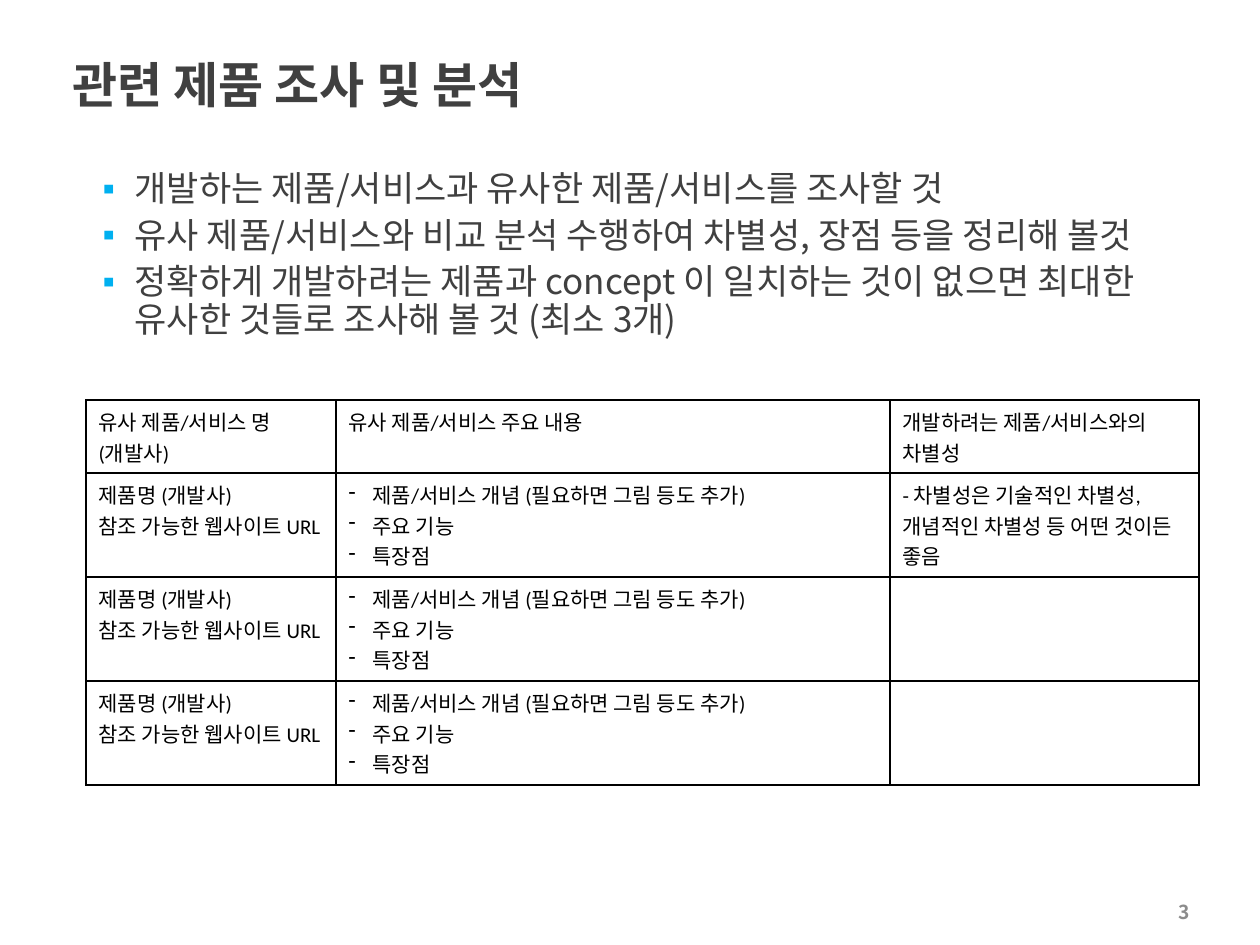
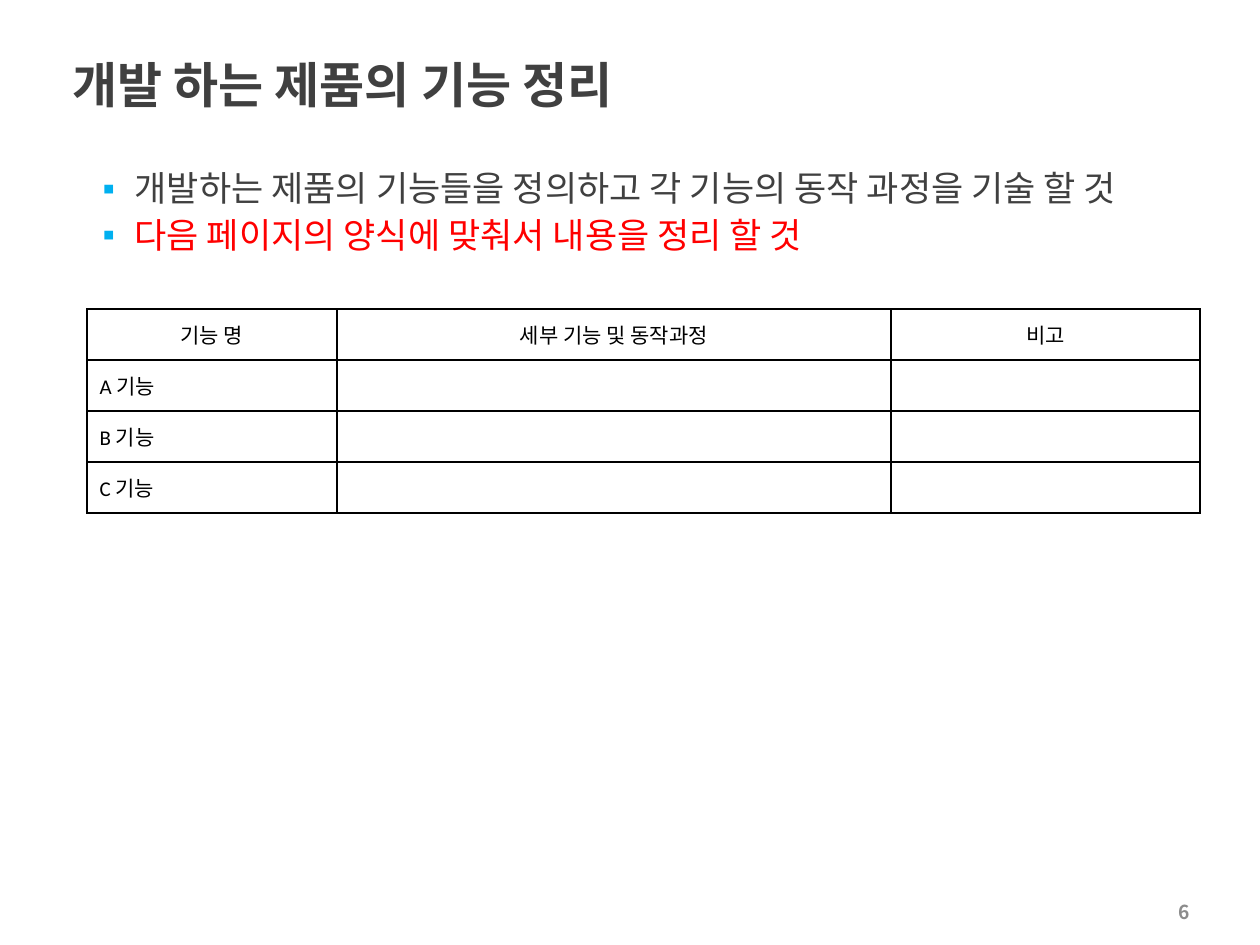
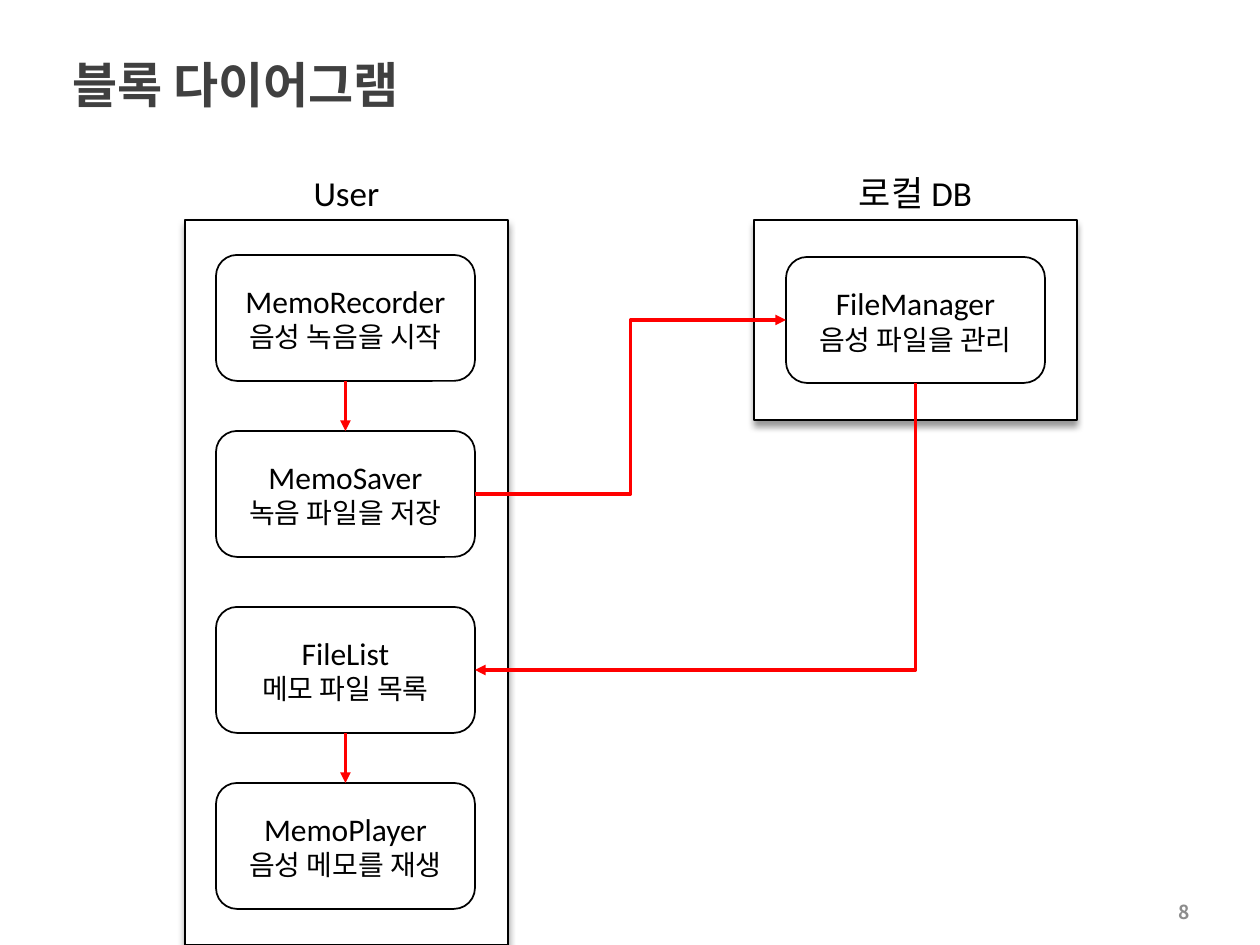
from dataclasses import dataclass

from lxml.etree import SubElement
from pptx import Presentation
from pptx.dml.color import RGBColor
from pptx.enum.shapes import MSO_CONNECTOR, MSO_SHAPE
from pptx.enum.text import MSO_ANCHOR, MSO_AUTO_SIZE, PP_ALIGN
from pptx.oxml import parse_xml
from pptx.oxml.ns import nsdecls, qn
from pptx.util import Pt

SCALE = 914400 / 126  # EMU per pixel
TOP, LEFT, BOTTOM, RIGHT = range(4)  # connection sites of a box


@dataclass(frozen=True)
class Theme:
    heading_font: str = "Noto Sans CJK KR"
    diagram_font: str = "Calibri"
    heading: str = "404040"
    bullet: str = "00B0F0"
    accent: str = "FF0000"
    page: str = "8C8C8C"
    ink: str = "000000"
    paper: str = "FFFFFF"
    title_size: int = 28
    body_size: int = 20
    page_size: int = 11
    cell_size: int = 12
    box_size: int = 18
    detail_size: int = 16
    border: int = 1
    arrow: int = 2


THEME = Theme()
COLUMNS = (250, 554, 309)


def px(*lengths):
    return [round(length * SCALE) for length in lengths]


def rgb(colour):
    return RGBColor.from_string(colour)


# Text

def style(paragraph, size, colour, face, bold=False, align=PP_ALIGN.LEFT):
    font = paragraph.font
    font.size, font.bold, font.name = Pt(size), bold, face
    font.color.rgb = rgb(colour)
    paragraph.alignment = align
    defaults = paragraph._p.get_or_add_pPr().get_or_add_defRPr()
    defaults.find(qn("a:latin")).addnext(
        parse_xml(f'<a:ea {nsdecls("a")} typeface="{THEME.heading_font}"/>'))


def write(frame, lines):
    """Put each line in a paragraph of its own and return the paragraphs."""
    paragraphs = []
    for index, line in enumerate(lines):
        paragraph = frame.add_paragraph() if index else frame.paragraphs[0]
        if line:
            paragraph.text = line
        paragraphs.append(paragraph)
    return paragraphs


def add_bullet(paragraph, mark, margin, hanging, colour):
    """Call before style(), so that the font defaults come last."""
    props = paragraph._p.get_or_add_pPr()
    props.set("marL", str(px(margin)[0]))
    props.set("indent", str(px(-hanging)[0]))
    SubElement(SubElement(props, qn("a:buClr")), qn("a:srgbClr"), val=colour)
    SubElement(props, qn("a:buChar"), char=mark)


def add_label(slide, text, at, size, colour, face, **options):
    label = slide.shapes.add_textbox(*px(*at)).text_frame
    label.word_wrap = True
    label.vertical_anchor = MSO_ANCHOR.MIDDLE
    style(write(label, [text])[0], size, colour, face, **options)


def place(placeholder, at):
    placeholder.left, placeholder.top, placeholder.width, placeholder.height = px(*at)
    placeholder.text_frame.auto_size = MSO_AUTO_SIZE.NONE
    return placeholder.text_frame


def add_page(deck, layout, heading, number):
    slide = deck.slides.add_slide(deck.slide_layouts.get_by_name(layout))
    title = place(slide.shapes.title, (60, 19, 1142, 101))
    title.vertical_anchor = MSO_ANCHOR.BOTTOM
    paragraph = write(title, [heading])[0]
    paragraph.line_spacing = 0.9
    style(paragraph, THEME.title_size, THEME.heading, THEME.heading_font, bold=True)
    add_label(slide, str(number), (918, 897, 284, 29), THEME.page_size, THEME.page,
              THEME.heading_font, bold=True, align=PP_ALIGN.RIGHT)
    return slide


def fill_list(slide, points, highlighted=()):
    body = place(slide.placeholders[1], (60, 165, 1142, 719))
    for point in write(body, points):
        point.level = 1
        point.line_spacing = 0.9
        point.space_before = Pt(5)
        add_bullet(point, "▪", 62, 32, THEME.bullet)
        colour = THEME.accent if point.text in highlighted else THEME.heading
        style(point, THEME.body_size, colour, THEME.heading_font)


# Tables

def add_borders(cell):
    props = cell._tc.get_or_add_tcPr()
    for index, side in enumerate(("lnL", "lnR", "lnT", "lnB")):
        props.insert(index, parse_xml(
            f'<a:{side} {nsdecls("a")} w="{Pt(THEME.border)}"><a:solidFill>'
            f'<a:srgbClr val="{THEME.ink}"/></a:solidFill></a:{side}>'))


def add_grid(slide, left, top, heights, rows, anchor, header_align, dashed=None):
    """Draw a ruled table; the column `dashed` is a dash list below the header."""
    table = slide.shapes.add_table(
        len(rows), len(COLUMNS), *px(left, top, sum(COLUMNS), sum(heights))).table
    table.first_row = table.horz_banding = False
    for column, width in zip(table.columns, px(*COLUMNS)):
        column.width = width
    for row, height in zip(table.rows, px(*heights)):
        row.height = height
    for r, texts in enumerate(rows):
        for c, text in enumerate(texts):
            cell = table.cell(r, c)
            cell.fill.background()
            cell.vertical_anchor = anchor
            add_borders(cell)
            for paragraph in write(cell.text_frame, text.split("\n")):
                if r and c == dashed:
                    add_bullet(paragraph, "-", 24, 24, THEME.ink)
                style(paragraph, THEME.cell_size, THEME.ink, THEME.diagram_font,
                      align=PP_ALIGN.LEFT if r else header_align)


# Diagram

def add_box(slide, kind, at):
    box = slide.shapes.add_shape(kind, *px(*at))
    box.shadow.inherit = False
    box.fill.solid()
    box.fill.fore_color.rgb = rgb(THEME.paper)
    box.line.color.rgb = rgb(THEME.ink)
    box.line.width = Pt(THEME.border)
    return box


def add_panel(slide, name, left, height):
    panel = add_box(slide, MSO_SHAPE.RECTANGLE, (left, 220, 323, height))
    panel._element.spPr.find(qn("a:effectLst")).append(parse_xml(
        f'<a:outerShdw {nsdecls("a")} blurRad="{Pt(4)}" dist="{Pt(3)}" dir="5400000"'
        f' rotWithShape="0"><a:srgbClr val="{THEME.ink}"><a:alpha val="40000"/>'
        '</a:srgbClr></a:outerShdw>'))
    add_label(slide, name, (left + 11, 165, 301, 55), THEME.body_size, THEME.ink,
              THEME.diagram_font, align=PP_ALIGN.CENTER)


def add_module(slide, name, role, left, top):
    module = add_box(slide, MSO_SHAPE.ROUNDED_RECTANGLE, (left, top, 259, 126))
    module.text_frame.word_wrap = True
    module.text_frame.vertical_anchor = MSO_ANCHOR.MIDDLE
    sizes = (THEME.box_size, THEME.detail_size)
    for paragraph, size in zip(write(module.text_frame, (name, role)), sizes):
        style(paragraph, size, THEME.ink, THEME.diagram_font, align=PP_ALIGN.CENTER)
    return module


def add_arrow(slide, kind, source, source_site, target, target_site):
    arrow = slide.shapes.add_connector(kind, 0, 0, 0, 0)
    arrow.begin_connect(source, source_site)
    arrow.end_connect(target, target_site)
    arrow.line.color.rgb = rgb(THEME.accent)
    arrow.line.width = Pt(THEME.arrow)
    SubElement(arrow.line._get_or_add_ln(), qn("a:tailEnd"), type="triangle")
    SubElement(arrow._element.spPr, qn("a:effectLst"))
    return arrow


def bend_once(arrow):
    """Make an elbow that runs down, then left: a quarter turn of the one-bend preset."""
    width, height = arrow.width, arrow.height
    middle_x, middle_y = arrow.left + width // 2, arrow.top + height // 2
    arrow.left, arrow.top = middle_x - height // 2, middle_y - width // 2
    arrow.width, arrow.height = height, width
    props = arrow._element.spPr
    frame = props.find(qn("a:xfrm"))
    frame.attrib.pop("flipH", None)
    frame.set("rot", "5400000")
    props.find(qn("a:prstGeom")).set("prst", "bentConnector2")


# Slides

def build_research(deck):
    slide = add_page(deck, "Title and Content", "관련 제품 조사 및 분석", 3)
    fill_list(slide, (
        "개발하는 제품/서비스과 유사한 제품/서비스를 조사할 것",
        "유사 제품/서비스와 비교 분석 수행하여 차별성, 장점 등을 정리해 볼것",
        "정확하게 개발하려는 제품과 concept 이 일치하는 것이 없으면 최대한 "
        "유사한 것들로 조사해 볼 것 (최소 3개)",
    ))
    product = "제품명 (개발사)\n참조 가능한 웹사이트 URL"
    content = "제품/서비스 개념 (필요하면 그림 등도 추가)\n주요 기능\n특장점"
    difference = "- 차별성은 기술적인 차별성, 개념적인 차별성 등 어떤 것이든 좋음"
    header = ("유사 제품/서비스 명\n(개발사)", "유사 제품/서비스 주요 내용",
              "개발하려는 제품/서비스와의 차별성")
    rows = [header] + [(product, content, note) for note in (difference, "", "")]
    add_grid(slide, 86, 400, (73, 104, 104, 104), rows,
             MSO_ANCHOR.TOP, PP_ALIGN.LEFT, dashed=1)


def build_functions(deck):
    slide = add_page(deck, "Title and Content", "개발 하는 제품의 기능 정리", 6)
    form_note = "다음 페이지의 양식에 맞춰서 내용을 정리 할 것"
    fill_list(slide, (
        "개발하는 제품의 기능들을 정의하고 각 기능의 동작 과정을 기술 할 것",
        form_note,
    ), highlighted=(form_note,))
    rows = [("기능 명", "세부 기능 및 동작과정", "비고")]
    rows += [(f"{letter} 기능", "", "") for letter in "ABC"]
    add_grid(slide, 87, 309, (51,) * 4, rows, MSO_ANCHOR.MIDDLE, PP_ALIGN.CENTER)


def build_diagram(deck):
    slide = add_page(deck, "Title Only", "블록 다이어그램", 8)
    add_panel(slide, "User", 185, 725)
    add_panel(slide, "로컬 DB", 754, 200)
    steps = (("MemoRecorder", "음성 녹음을 시작"), ("MemoSaver", "녹음 파일을 저장"),
             ("FileList", "메모 파일 목록"), ("MemoPlayer", "음성 메모를 재생"))
    recorder, saver, files, player = [
        add_module(slide, name, role, 216, 255 + 176 * index)
        for index, (name, role) in enumerate(steps)]
    manager = add_module(slide, "FileManager", "음성 파일을 관리", 786, 257)

    add_arrow(slide, MSO_CONNECTOR.STRAIGHT, recorder, BOTTOM, saver, TOP)
    add_arrow(slide, MSO_CONNECTOR.ELBOW, saver, RIGHT, manager, LEFT)
    bend_once(add_arrow(slide, MSO_CONNECTOR.ELBOW, manager, BOTTOM, files, RIGHT))
    add_arrow(slide, MSO_CONNECTOR.STRAIGHT, files, BOTTOM, player, TOP)


def main():
    deck = Presentation()
    deck.slide_width, deck.slide_height = px(1260, 945)
    build_research(deck)
    build_functions(deck)
    build_diagram(deck)
    deck.save("out.pptx")


main()
